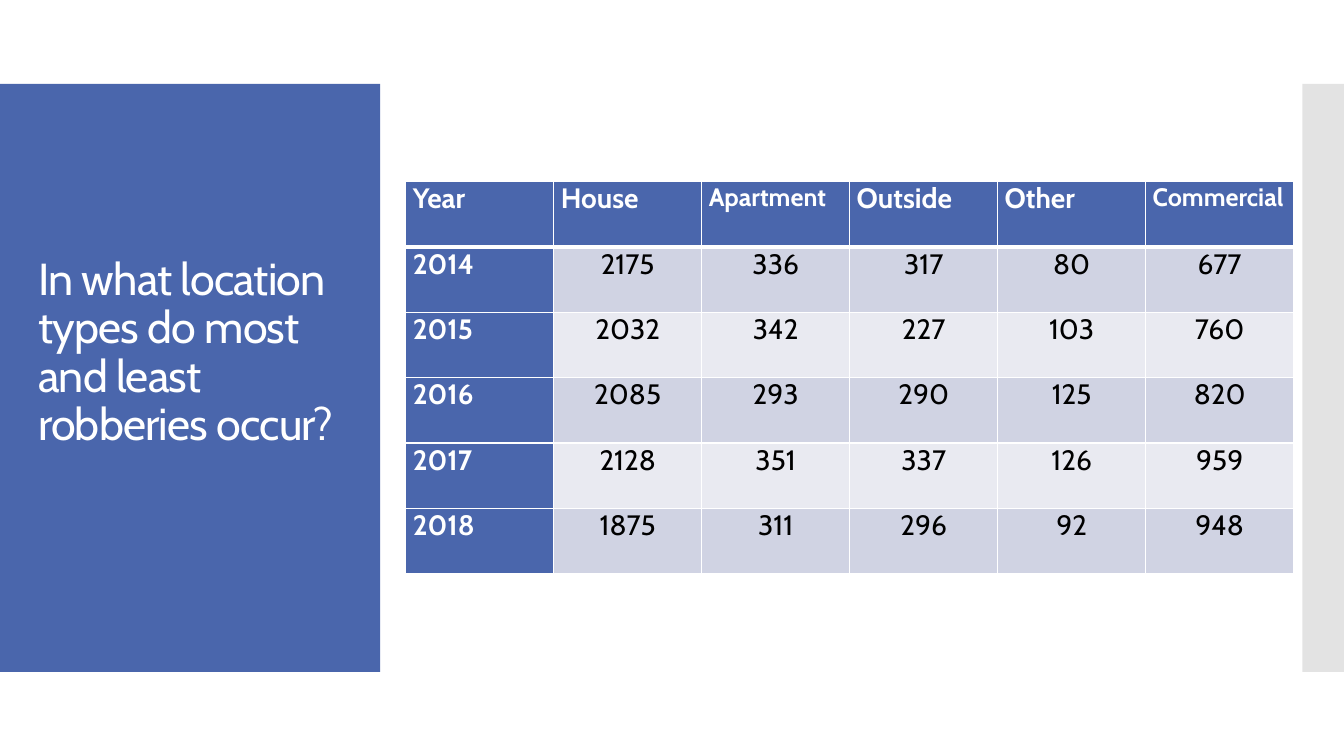
from dataclasses import dataclass

from lxml import etree
from pptx import Presentation
from pptx import util as u
from pptx.dml.color import RGBColor
from pptx.enum import shapes, text
from pptx.oxml import ns

BLUE = RGBColor(0x4A, 0x66, 0xAC)
GREY = RGBColor(0xC8, 0xC8, 0xC8)
BAND_DARK = RGBColor(0xD0, 0xD3, 0xE3)
BAND_LIGHT = RGBColor(0xE9, 0xEA, 0xF1)
WHITE = RGBColor(0xFF, 0xFF, 0xFF)
BLACK = RGBColor(0x00, 0x00, 0x00)
FONT = "Cabin"

SLIDE_W, SLIDE_H = u.Inches(13.33), u.Inches(7.5)

HEADERS = ["Year", "House", "Apartment", "Outside", "Other", "Commercial"]
ROBBERIES = {
    "2014": [2175, 336, 317, 80, 677],
    "2015": [2032, 342, 227, 103, 760],
    "2016": [2085, 293, 290, 125, 820],
    "2017": [2128, 351, 337, 126, 959],
    "2018": [1875, 311, 296, 92, 948],
}


@dataclass(frozen=True)
class Area:
    """A rectangle in percent of the slide's width and height."""
    left: float
    top: float
    width: float
    height: float

    def emu(self) -> tuple[int, int, int, int]:
        return (int(SLIDE_W * self.left / 100), int(SLIDE_H * self.top / 100),
                int(SLIDE_W * self.width / 100), int(SLIDE_H * self.height / 100))


@dataclass(frozen=True)
class Panel:
    area: Area
    color: RGBColor
    opacity: int = 100


PANELS = [
    Panel(Area(0, 11.11, 28.28, 77.78), BLUE),
    Panel(Area(96.9, 11.11, 3.1, 77.78), GREY, opacity=50),
]
TITLE = Area(2.1, 16.4, 24.15, 67.07)
TABLE = Area(30.19, 24.04, 66.08, 51.87)


def write(tf, words: str, *, size: float, color: RGBColor, bold: bool = False,
          align=text.PP_ALIGN.LEFT, line_spacing: float = 1.0, tracking: int = 0) -> None:
    p = tf.paragraphs[0]
    p.alignment, p.line_spacing = align, line_spacing
    r = p.add_run()
    r.text = words
    r.font.name, r.font.size, r.font.bold = FONT, u.Pt(size), bold
    r.font.color.rgb = color
    if tracking:
        r.font._element.set("spc", str(tracking))


def add_panel(slide, panel: Panel) -> None:
    sp = slide.shapes.add_shape(shapes.MSO_SHAPE.RECTANGLE, *panel.area.emu())
    sp.shadow.inherit = False
    sp.fill.solid()
    sp.fill.fore_color.rgb = panel.color
    sp.line.fill.background()
    if panel.opacity < 100:
        clr = sp._element.spPr.find(".//" + ns.qn("a:srgbClr"))
        etree.SubElement(clr, ns.qn("a:alpha"), val=str(panel.opacity * 1000))


def add_title(slide, words: str) -> None:
    tf = slide.shapes.add_textbox(*TITLE.emu()).text_frame
    tf.word_wrap = True
    tf.vertical_anchor = text.MSO_ANCHOR.MIDDLE
    tf.margin_bottom = u.Inches(0.53)  # lifts the text by half a line
    write(tf, words, size=32, color=WHITE, line_spacing=0.9, tracking=-60)


def set_border(cell, side: str, points: float) -> None:
    ln = etree.SubElement(cell._tc.get_or_add_tcPr(), ns.qn("a:ln" + side),
                          w=str(u.Pt(points)))
    fill = etree.SubElement(ln, ns.qn("a:solidFill"))
    etree.SubElement(fill, ns.qn("a:srgbClr"), val=str(WHITE))


def add_cell(cell, words: str, row: int, col: int) -> None:
    is_label = row == 0 or col == 0
    cell.margin_left = cell.margin_right = u.Inches(0.07)
    cell.margin_top = cell.margin_bottom = 0
    # Borders: a thick rule under the header row
    for side in "LRTB":
        thick = (row, side) in ((0, "B"), (1, "T"))
        set_border(cell, side, 3 if thick else 1)
    cell.fill.solid()
    cell.fill.fore_color.rgb = BLUE if is_label else BAND_DARK if row % 2 else BAND_LIGHT
    write(cell.text_frame, words,
          size=18 if len(words) > 8 else 20,
          color=WHITE if is_label else BLACK, bold=is_label,
          align=text.PP_ALIGN.JUSTIFY if is_label else text.PP_ALIGN.CENTER)


def add_robbery_table(slide) -> None:
    rows = [HEADERS] + [[year, *map(str, counts)] for year, counts in ROBBERIES.items()]
    left, top, width, height = TABLE.emu()
    table = slide.shapes.add_table(len(rows), len(HEADERS), left, top, width, height).table
    table.first_col, table.horz_banding = True, False
    for column in table.columns:
        column.width = width // len(HEADERS)
    for i, row in enumerate(rows):
        table.rows[i].height = height // len(rows)
        for j, words in enumerate(row):
            add_cell(table.cell(i, j), words, i, j)


def main() -> None:
    prs = Presentation()
    prs.slide_width, prs.slide_height = SLIDE_W, SLIDE_H
    slide = prs.slides.add_slide(prs.slide_layouts[6])
    # Side panels
    for panel in PANELS:
        add_panel(slide, panel)
    # Question and figures
    add_title(slide, "In what location types do most and least robberies occur?")
    add_robbery_table(slide)
    prs.save("out.pptx")


if __name__ == "__main__":
    main()
